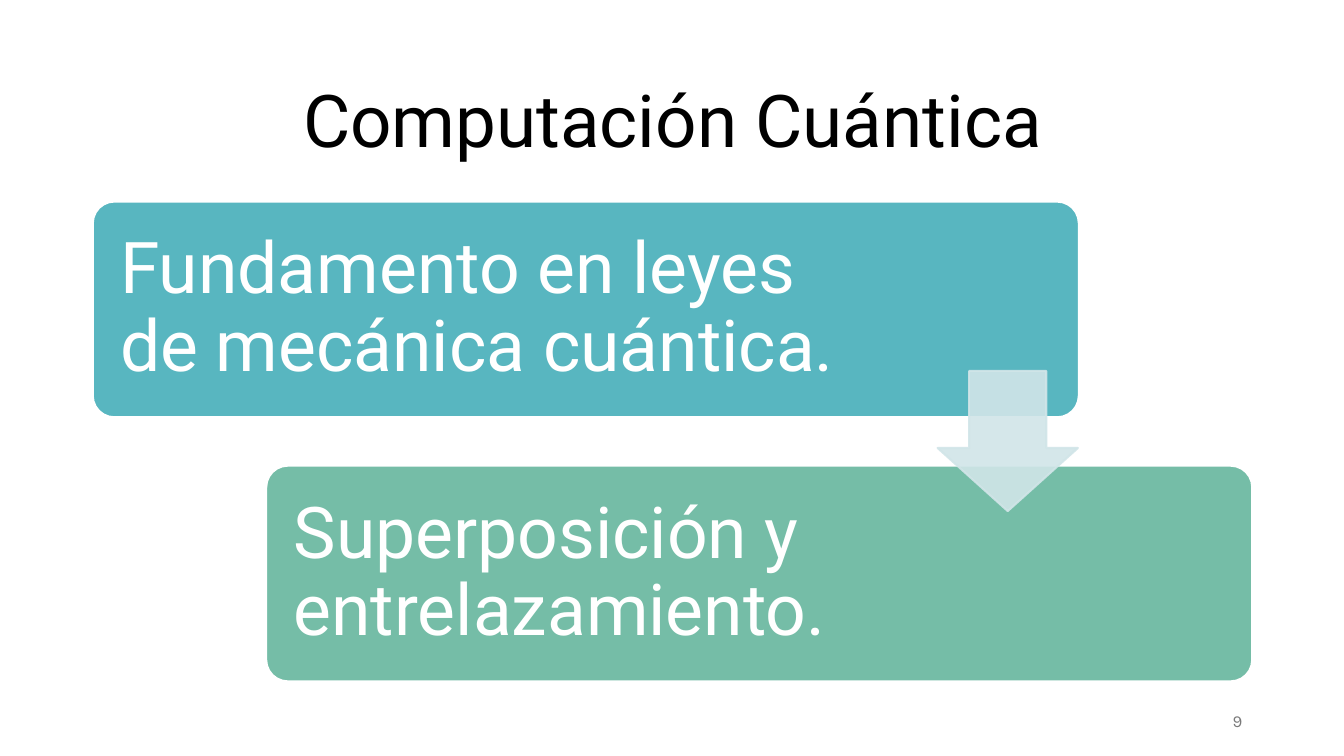
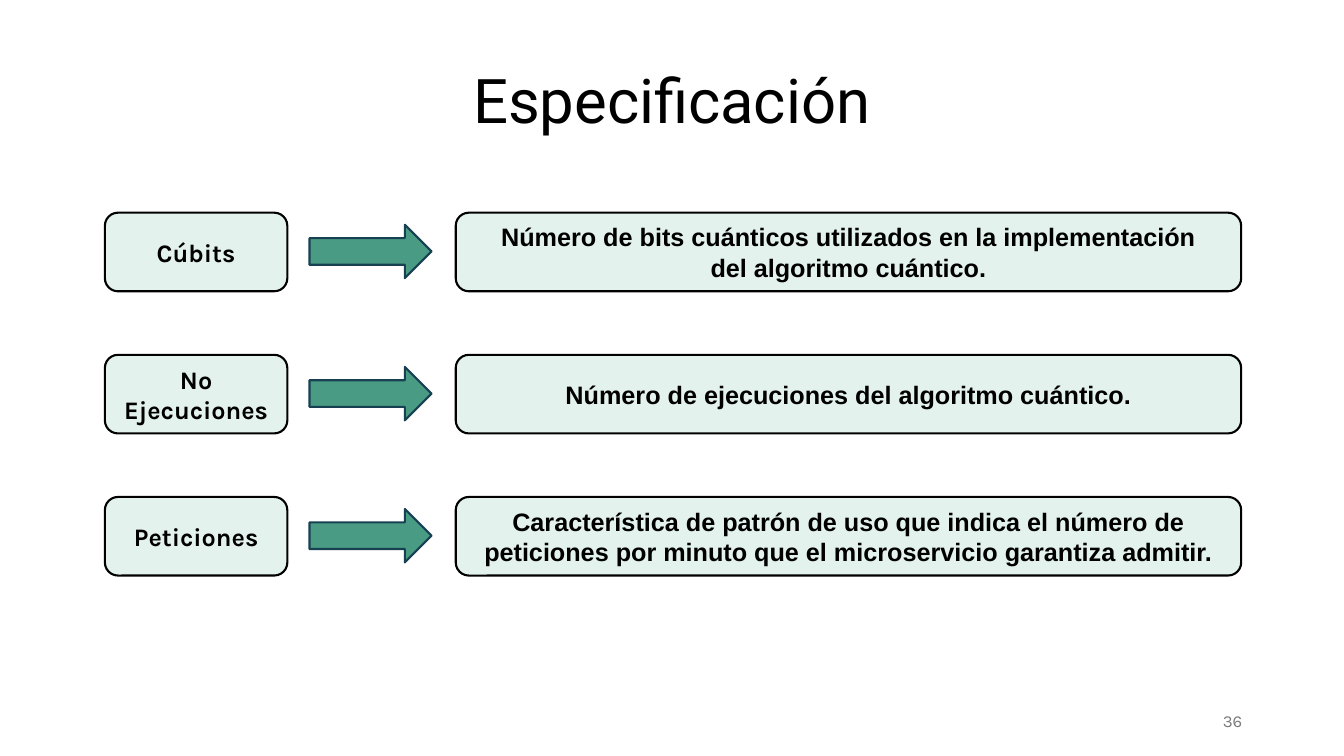
from dataclasses import dataclass

from lxml.etree import SubElement
from pptx import Presentation
from pptx.dml.color import RGBColor as RGB
from pptx.enum.shapes import MSO_SHAPE as SHAPE
from pptx.enum.text import MSO_ANCHOR as ANCHOR, PP_ALIGN as ALIGN
from pptx.oxml.ns import qn
from pptx.util import Inches, Pt


@dataclass(frozen=True)
class Theme:
    black: RGB = RGB(0x00, 0x00, 0x00)
    white: RGB = RGB(0xFF, 0xFF, 0xFF)
    grey: RGB = RGB(0x79, 0x79, 0x79)
    teal: RGB = RGB(0x58, 0xB6, 0xC0)
    green: RGB = RGB(0x75, 0xBD, 0xA7)
    pale_teal: RGB = RGB(0xD1, 0xE5, 0xE8)
    mint: RGB = RGB(0xE3, 0xF2, 0xED)
    arrow: RGB = RGB(0x4A, 0x9B, 0x83)
    arrow_line: RGB = RGB(0x17, 0x41, 0x52)
    title_font: str = "Roboto"
    label_font: str = "Karla"
    body_font: str = "Arial"
    big_title: int = 52
    title: int = 44
    panel: int = 51
    body: int = 18
    footer: int = 12
    line: float = 1.5


THEME = Theme()


def write(shape, text, font, size, color, align=ALIGN.CENTER,
          anchor=ANCHOR.MIDDLE, bold=False, spacing=None):
    """Fill a shape with text: \\n starts a paragraph, \\v breaks a line."""
    frame = shape.text_frame
    frame.word_wrap = True
    frame.vertical_anchor = anchor
    frame.text = text
    for paragraph in frame.paragraphs:
        paragraph.alignment = align
        paragraph.line_spacing = spacing
        paragraph.font.name = font
        paragraph.font.size = Pt(size)
        paragraph.font.bold = bold
        paragraph.font.color.rgb = color


def add_block(slide, kind, box, fill, line, adjustments=()):
    block = slide.shapes.add_shape(kind, *map(Inches, box))
    block.shadow.inherit = False
    block.fill.solid()
    block.fill.fore_color.rgb = fill
    block.line.color.rgb = line
    block.line.width = Pt(THEME.line)
    for index, value in enumerate(adjustments):
        block.adjustments[index] = value
    return block


def set_opacity(shape, percent):
    for color in shape._element.spPr.iter(qn("a:srgbClr")):
        SubElement(color, qn("a:alpha"), val=str(percent * 1000))


def add_title(slide, text, box, size, anchor):
    title = slide.shapes.add_textbox(*map(Inches, box))
    write(title, text, THEME.title_font, size, THEME.black,
          anchor=anchor, spacing=0.9)


def add_page_number(slide, number):
    footer = slide.shapes.add_textbox(*map(Inches, (9.42, 6.95, 3, 0.4)))
    write(footer, str(number), THEME.label_font, THEME.footer, THEME.grey,
          align=ALIGN.RIGHT)


def add_panel(slide, text, left, top, fill):
    panel = add_block(slide, SHAPE.ROUNDED_RECTANGLE, (left, top, 9.78, 2.14),
                      fill, THEME.white, [0.1])
    write(panel, text, THEME.title_font, THEME.panel, THEME.white,
          align=ALIGN.LEFT, spacing=0.9)
    panel.text_frame.margin_left = Inches(0.21)
    panel.text_frame.margin_right = Inches(2.3)


def add_card(slide, text, left, top, width, font):
    card = add_block(slide, SHAPE.ROUNDED_RECTANGLE, (left, top, width, 0.78),
                     THEME.mint, THEME.black)
    write(card, text, font, THEME.body, THEME.black, bold=True)


def add_definition(slide, term, meaning, top):
    add_card(slide, term, 1.04, top, 1.81, THEME.label_font)
    add_block(slide, SHAPE.RIGHT_ARROW, (3.07, top + 0.12, 1.21, 0.53),
              THEME.arrow, THEME.arrow_line)
    add_card(slide, meaning, 4.52, top, 7.79, THEME.body_font)


def build_computing(slide):
    add_title(slide, "Computación Cuántica", (0.92, 0.61, 11.5, 1.24),
              THEME.big_title, ANCHOR.MIDDLE)
    add_panel(slide, "Fundamento en leyes de mecánica cuántica.",
              0.92, 2, THEME.teal)
    add_panel(slide, "Superposición y entrelazamiento.",
              2.64, 4.62, THEME.green)
    step = add_block(slide, SHAPE.DOWN_ARROW, (9.3, 3.68, 1.39, 1.39),
                     THEME.pale_teal, THEME.pale_teal, [0.55, 0.45])
    set_opacity(step, 90)
    add_page_number(slide, 9)


def build_specification(slide):
    add_title(slide, "Especificación", (4.49, -0.04, 4.35, 1.45),
              THEME.title, ANCHOR.BOTTOM)
    definitions = [
        ("Cúbits", "Número de bits cuánticos utilizados en la implementación"
                   "\vdel algoritmo cuántico."),
        ("Nº\nEjecuciones", "Número de ejecuciones del algoritmo cuántico."),
        ("Peticiones", "Característica de patrón de uso que indica el número de"
                       "\vpeticiones por minuto que el microservicio garantiza"
                       " admitir."),
    ]
    for row, (term, meaning) in enumerate(definitions):
        add_definition(slide, term, meaning, 2.11 + 1.41 * row)
    add_page_number(slide, 36)


def main():
    deck = Presentation()
    deck.slide_width, deck.slide_height = Inches(13.33), Inches(7.5)
    blank = deck.slide_layouts[6]
    for build in (build_computing, build_specification):
        build(deck.slides.add_slide(blank))
    deck.save("out.pptx")


if __name__ == "__main__":
    main()
